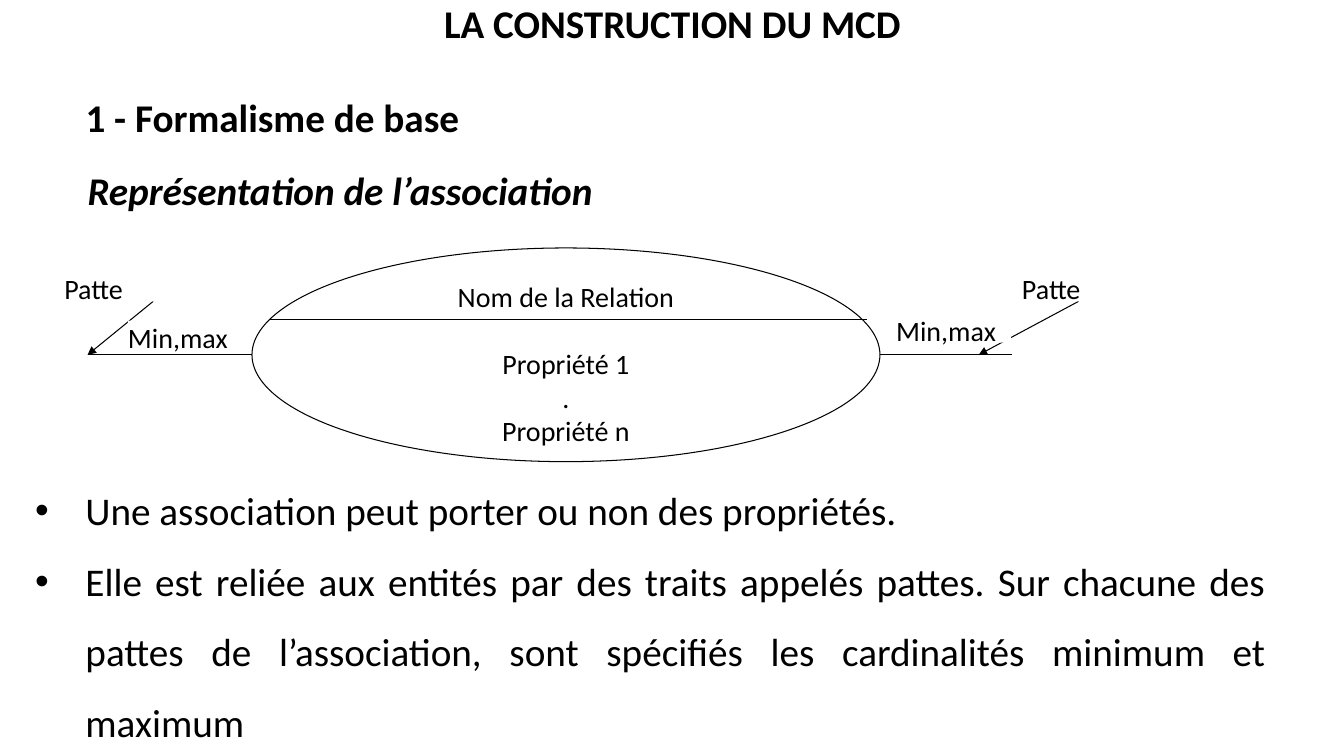
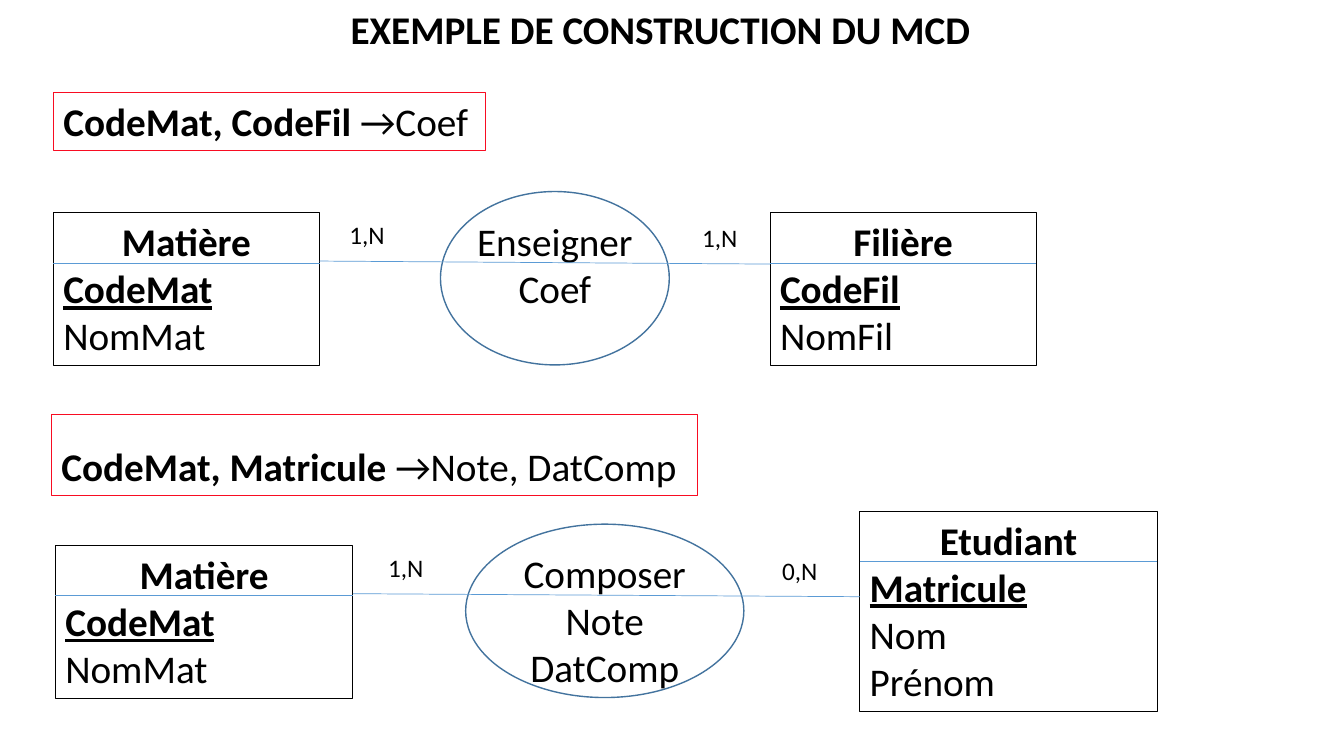
"""Builds two slides on entity-association modelling (MCD)."""
from dataclasses import dataclass
from typing import NamedTuple, Optional

from lxml.etree import SubElement
from pptx import Presentation
from pptx.dml.color import RGBColor as RGB
from pptx.enum.shapes import MSO_CONNECTOR as CONN, MSO_SHAPE as SHAPE
from pptx.enum.text import MSO_ANCHOR as ANCHOR, MSO_AUTO_SIZE as FIT, PP_ALIGN as ALIGN
from pptx.oxml.ns import qn
from pptx.util import Inches, Pt

CELL = Inches(0.1)
COLS, ROWS = 400 / 3, 75


@dataclass(frozen=True)
class Theme:
    """Font, colours and sizes shared by the slides."""
    font: str = "Calibri"
    ink: RGB = RGB(0, 0, 0)
    paper: RGB = RGB(255, 255, 255)
    red: RGB = RGB(0xF8, 0x0C, 0x22)
    oval: RGB = RGB(0x43, 0x73, 0x9E)
    link: RGB = RGB(0x5B, 0x9B, 0xD5)
    body: int = 28
    label: int = 20
    card: int = 18
    thin: float = 0.5
    edge: float = 0.75
    thick: float = 1


T = Theme()


class Box(NamedTuple):
    """A rectangle in grid cells."""
    left: float
    top: float
    width: float
    height: float


class Seg(NamedTuple):
    """A straight line in grid cells."""
    x1: float
    y1: float
    x2: float
    y2: float


class Style(NamedTuple):
    """The look of a text block."""
    size: int = T.body
    bold: bool = False
    italic: bool = False
    align: ALIGN = ALIGN.LEFT
    spacing: Optional[float] = None
    inset: bool = True
    grow: bool = True
    wrap: bool = True


class Look(NamedTuple):
    """The preset, fill and outline of a shape."""
    preset: SHAPE
    fill: Optional[RGB] = None
    line: Optional[RGB] = None
    width: float = T.edge


class Entity(NamedTuple):
    """An entity with its identifier and other properties."""
    left: float
    top: float
    width: float
    name: str
    key: str
    fields: tuple[str, ...]

    @property
    def box(self) -> Box:
        """Return the frame, one text line per property."""
        return Box(self.left, self.top, self.width, 1 + 4.72 * (2 + len(self.fields)))


class Card(NamedTuple):
    """A cardinality written above a leg."""
    text: str
    left: float


class Relation(NamedTuple):
    """Two entities joined by an association."""
    first: Entity
    second: Entity
    oval: Box
    lines: tuple[str, ...]
    cards: tuple[Card, Card]
    card_width: float


class Dependency(NamedTuple):
    """A functional dependency in a red frame."""
    box: Box
    source: str
    target: str
    spacing: Optional[float] = None


HEADING = Style(bold=True)
TITLE = Style(bold=True, align=ALIGN.CENTER)
LABEL = Style(T.label, grow=False)
TIGHT = LABEL._replace(inset=False)
OVAL = Style(align=ALIGN.CENTER, inset=False, grow=False)
CARD = Style(T.card, align=ALIGN.CENTER, inset=False)
FRAME = Look(SHAPE.RECTANGLE, line=T.ink)
PATCH = Look(SHAPE.RECTANGLE, fill=T.paper)

LEGS = (Seg(26.7, 31.7, 86, 31.7), Seg(8.7, 35.2, 25, 35.2), Seg(87.3, 35.2, 100.4, 35.2))
ARROWS = (Seg(107, 29.9, 97.1, 35.2), Seg(15.2, 29.9, 8.7, 35.2))
PATTES = (Box(5.4, 26.4, 16.4, 3.5), Box(100.4, 26.4, 16.4, 3.5))
BOUNDS = (Box(12.7, 31.8, 11.4, 2.9), Box(88.9, 31.1, 11.4, 2.9))
NOTES = (
    "Une association peut porter ou non des propriétés.",
    "Elle est reliée aux entités par des traits appelés pattes. Sur chacune des pattes "
    "de l’association, sont spécifiés les cardinalités minimum et maximum",
)
DEPENDENCIES = (
    Dependency(Box(5.3, 9.2, 42.9, 5.7), "CodeMat, CodeFil ", "→Coef"),
    Dependency(Box(5.1, 41.1, 64.1, 8.1), "CodeMat, Matricule ", "→Note, DatComp", 1.5),
)
RELATIONS = (
    Relation(
        Entity(5.3, 21.1, 26.4, "Matière", "CodeMat", ("NomMat",)),
        Entity(76.4, 21.1, 26.4, "Filière", "CodeFil", ("NomFil",)),
        Box(43.7, 19, 22.7, 17.2), ("Enseigner", "Coef"),
        (Card("1,N", 33.3), Card("1,N", 68.3)), 6.2),
    Relation(
        Entity(5.5, 54.1, 29.5, "Matière", "CodeMat", ("NomMat",)),
        Entity(85.3, 50.7, 29.5, "Etudiant", "Matricule", ("Nom", "Prénom")),
        Box(46.2, 52, 27.6, 17.2), ("Composer", "Note", "DatComp"),
        (Card("1,N", 36.8), Card("0,N", 75.9)), 6.9),
)


def cells(*values: float) -> list[int]:
    """Convert grid cells to slide units."""
    return [round(v * CELL) for v in values]


def ink(r, style: Style) -> None:
    """Format one run."""
    f = r.font
    f.name, f.size, f.bold, f.italic = T.font, Pt(style.size), style.bold, style.italic
    f.color.rgb = T.ink


def add_text(shapes, box: Box, lines: tuple[str, ...], style: Style, look: Optional[Look] = None):
    """Draw a text block, in a shape when a look is given."""
    if look is None:
        sp = shapes.add_textbox(*cells(*box))
    else:
        sp = shapes.add_shape(look.preset, *cells(*box))
        sp.shadow.inherit = False
        if look.fill is None:
            sp.fill.background()
        else:
            sp.fill.solid()
            sp.fill.fore_color.rgb = look.fill
        if look.line is None:
            sp.line.fill.background()
        else:
            sp.line.color.rgb = look.line
            sp.line.width = Pt(look.width)
    tf = sp.text_frame
    tf.text = "\n".join(lines)
    tf.word_wrap = style.wrap
    tf.vertical_anchor = ANCHOR.TOP
    tf.auto_size = FIT.SHAPE_TO_FIT_TEXT if style.grow else FIT.NONE
    if not style.inset:
        tf.margin_left = tf.margin_top = tf.margin_right = tf.margin_bottom = 0
    for p in tf.paragraphs:
        p.alignment = style.align
        if style.spacing:
            p.line_spacing = style.spacing
        for r in p.runs:
            ink(r, style)
    return tf


def add_line(shapes, seg: Seg, color: RGB, width: float, arrow: bool = False) -> None:
    """Draw a straight line, with an arrowhead at its end if asked."""
    cxn = shapes.add_connector(CONN.STRAIGHT, *cells(*seg))
    cxn.line.color.rgb = color
    cxn.line.width = Pt(width)
    if arrow:
        SubElement(cxn.line._get_or_add_ln(), qn("a:tailEnd"), type="triangle")
    SubElement(cxn._element.spPr, qn("a:effectLst"))


def add_bullets(shapes, box: Box, lines: tuple[str, ...]) -> None:
    """Draw a justified bulleted list."""
    tf = add_text(shapes, box, lines, Style(align=ALIGN.JUSTIFY))
    tf.vertical_anchor = ANCHOR.MIDDLE
    for p in tf.paragraphs:
        pPr = p._p.get_or_add_pPr()
        indent = Inches(0.5)
        pPr.set("marL", str(indent))
        pPr.set("indent", str(-indent))
        SubElement(pPr, qn("a:buFont"), typeface="Arial")
        SubElement(pPr, qn("a:buChar"), char="•")
        p.line_spacing = 1.5


def add_entity(shapes, entity: Entity) -> None:
    """Draw an entity with a rule under its name."""
    box = entity.box
    tf = add_text(shapes, box, (entity.name, entity.key, *entity.fields), Style(), FRAME)
    name, key = tf.paragraphs[:2]
    name.alignment = ALIGN.CENTER
    name.runs[0].font.bold = key.runs[0].font.bold = True
    key.runs[0].font.underline = True
    y = box.top + 5
    add_line(shapes, Seg(box.left, y, box.left + box.width, y), T.link, T.thin)


def add_relation(shapes, rel: Relation) -> None:
    """Draw two entities, their association and its cardinalities."""
    add_entity(shapes, rel.first)
    add_entity(shapes, rel.second)
    add_text(shapes, rel.oval, rel.lines, OVAL, Look(SHAPE.OVAL, line=T.oval, width=T.thick))
    leg = Seg(rel.first.left + rel.first.width, rel.first.top + 4.8,
              rel.second.left, rel.first.top + 5.1)
    add_line(shapes, leg, T.link, T.thin)
    for card, y in zip(rel.cards, (leg.y1, leg.y2)):
        add_text(shapes, Box(card.left, y - 4.1, rel.card_width, 3), (card.text,), CARD)


def add_dependency(shapes, dep: Dependency) -> None:
    """Draw a dependency, its source in bold."""
    style = HEADING._replace(spacing=dep.spacing, wrap=False)
    tf = add_text(shapes, dep.box, (dep.source,), style, Look(SHAPE.RECTANGLE, line=T.red))
    r = tf.paragraphs[0].add_run()
    r.text = dep.target
    ink(r, Style())


def draw_formalism(s) -> None:
    """Draw the notation of an association."""
    g = s.shapes.add_group_shape().shapes
    lines = ("Nom de la Relation", "Propriété 1", ".", "Propriété n")
    tf = add_text(g, Box(25, 24.6, 62.3, 21.2), lines, TIGHT._replace(align=ALIGN.CENTER),
                  Look(SHAPE.OVAL, T.paper, T.ink))
    tf.paragraphs[1].space_before = Pt(24)
    for seg in LEGS + ARROWS:
        add_line(g, seg, T.ink, T.edge, seg in ARROWS)
    for box in PATTES:
        add_text(g, box, ("Patte",), LABEL, PATCH)
    for box in BOUNDS:
        add_text(g, box, ("Min,max",), TIGHT, PATCH)
    add_bullets(s.shapes, Box(2.5, 45.3, 124, 29.3), NOTES)
    add_text(s.shapes, Box(7.7, 16, 59.1, 5.7), ("Représentation de l’association",),
             HEADING._replace(italic=True))
    add_text(s.shapes, Box(7.5, 8.8, 48.8, 5.7), ("1 - Formalisme de base",), HEADING)
    add_text(s.shapes, Box(26.9, 0, 79.6, 6.7), ("LA CONSTRUCTION DU MCD",),
             TITLE._replace(spacing=0.9, grow=False))


def draw_example(s) -> None:
    """Draw two dependencies and the relations they lead to."""
    for dep in DEPENDENCIES:
        add_dependency(s.shapes, dep)
    for rel in RELATIONS:
        add_relation(s.shapes.add_group_shape().shapes, rel)
    add_text(s.shapes, Box(8.8, 0, 113.4, 5.7), ("EXEMPLE DE CONSTRUCTION DU MCD",), TITLE)


def main() -> None:
    """Build and save the deck."""
    prs = Presentation()
    prs.slide_width, prs.slide_height = cells(COLS, ROWS)
    for draw in (draw_formalism, draw_example):
        draw(prs.slides.add_slide(prs.slide_layouts[6]))
    prs.save("out.pptx")


if __name__ == "__main__":
    main()
